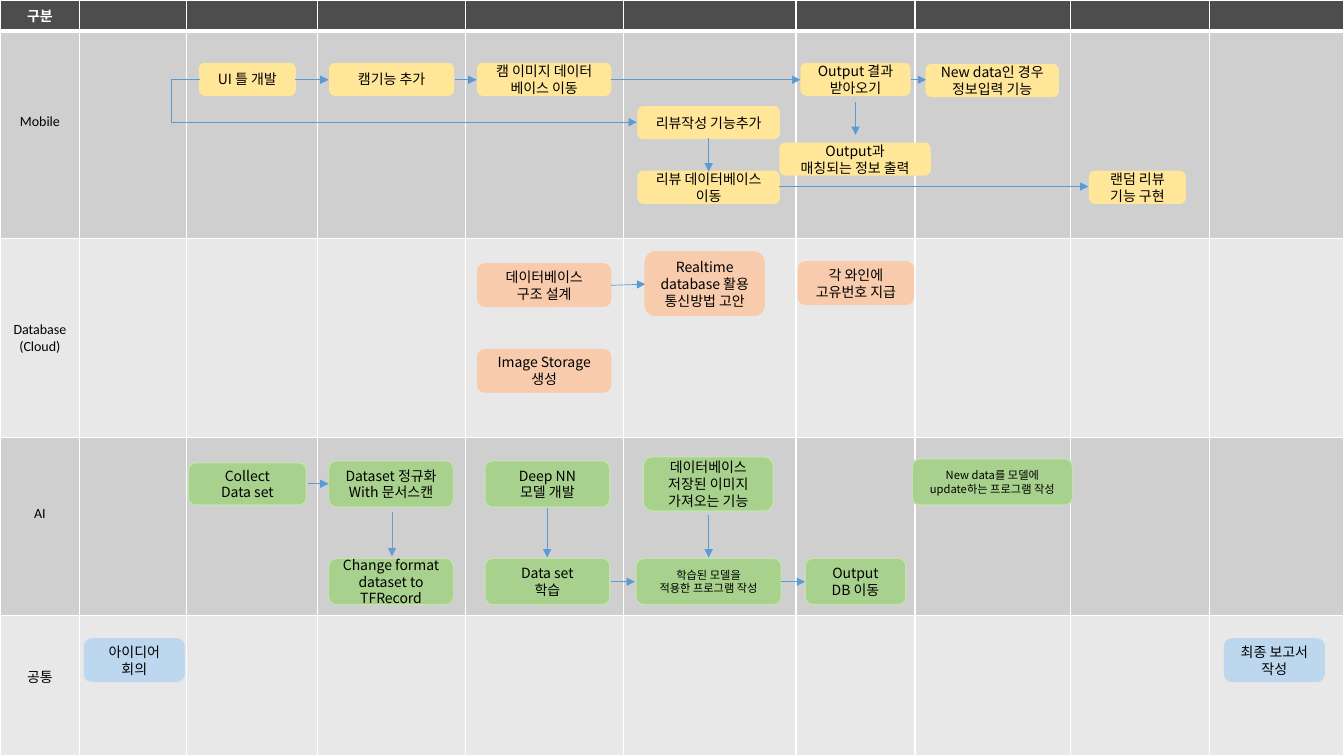
import dataclasses

import lxml.etree
import pptx
import pptx.dml.color
import pptx.enum.shapes
import pptx.enum.text
import pptx.oxml.ns
import pptx.shapes.base
import pptx.slide
import pptx.table
import pptx.text.text
import pptx.util

Cm = pptx.util.Cm
qn = pptx.oxml.ns.qn


@dataclasses.dataclass(frozen=True)
class Theme:
    header: str = "4D4D4D"
    dark_band: str = "CFCFCF"
    light_band: str = "E8E8E8"
    white: str = "FFFFFF"
    black: str = "000000"
    yellow: str = "FFE699"
    orange: str = "F8CBAD"
    green: str = "A9D18E"
    green_edge: str = "C5E0B4"
    blue: str = "BDD7EE"
    arrow: str = "5B9BD5"
    dull_arrow: str = "6A9ACF"
    table_font: str = "Calibri"
    box_font: str = "Noto Sans CJK KR"
    normal_size: int = 10
    small_size: int = 8
    arrow_width: float = 0.5
    border_width: float = 1
    header_border_width: float = 3


THEME = Theme()


@dataclasses.dataclass(frozen=True)
class Band:
    label: str
    height: float
    label_offset: float
    fill: str


@dataclasses.dataclass(frozen=True)
class Task:
    text: str
    left: float
    top: float
    width: float
    height: float
    fill: str
    edge: str
    size: int = THEME.normal_size


@dataclasses.dataclass(frozen=True)
class Arrow:
    points: tuple[tuple[float, float], ...]
    color: str = THEME.arrow


COLUMN_WIDTHS = (2.01, 2.69, 3.3, 3.73, 3.99, 4.34, 3.0, 3.91, 3.51, 3.39)
BANDS = (
    Band("구분", 0.79, 0.13, THEME.header),
    Band("Mobile", 5.21, 2.07, THEME.dark_band),
    Band("Database\n(Cloud)", 5.03, 2.1, THEME.light_band),
    Band("AI", 4.47, 1.69, THEME.dark_band),
    Band("공통", 3.55, 1.3, THEME.light_band),
)


def mobile(text: str, left: float, top: float, width: float) -> Task:
    return Task(text, left, top, width, 0.8, THEME.yellow, THEME.yellow)


def database(text: str, left: float, top: float, width: float, height: float = 1.07) -> Task:
    return Task(text, left, top, width, height, THEME.orange, THEME.orange)


def learning(text: str, left: float, top: float, width: float, height: float = 1.17,
             size: int = THEME.normal_size) -> Task:
    return Task(text, left, top, width, height, THEME.green, THEME.green_edge, size)


def common(text: str, left: float) -> Task:
    return Task(text, left, 16.1, 2.51, 1.07, THEME.blue, THEME.blue)


TASKS = (
    mobile("UI 틀 개발", 5.03, 1.6, 2.41),
    mobile("캠기능 추가", 8.31, 1.6, 3.12),
    mobile("캠 이미지 데이터\n베이스 이동", 12.04, 1.6, 3.35),
    mobile("리뷰작성 기능추가", 16.08, 2.69, 3.56),
    mobile("리뷰 데이터베이스\n이동", 16.08, 4.32, 3.56),
    mobile("Output 결과\n받아오기", 20.19, 1.6, 2.74),
    mobile("Output과\n매칭되는 정보 출력", 19.66, 3.61, 3.78),
    mobile("New data인 경우\n정보입력 기능", 23.34, 1.63, 3.33),
    mobile("랜덤 리뷰\n기능 구현", 27.46, 4.32, 2.41),
    database("데이터베이스\n구조 설계", 12.04, 6.65, 3.35),
    database("Image Storage\n생성", 12.04, 8.81, 3.35),
    database("Realtime database 활용\n통신방법 고안", 16.26, 6.35, 3.0, 1.6),
    database("각 와인에\n고유번호 지급", 20.12, 6.6, 2.9),
    learning("Collect\nData set", 4.75, 11.66, 2.97, 1.07),
    learning("Dataset 정규화\nWith 문서스캔", 8.28, 11.61, 3.15),
    learning("Change format\ndataset to TFRecord", 8.28, 14.07, 3.15),
    learning("Deep NN\n모델 개발", 12.22, 11.61, 3.15),
    learning("Data set\n학습", 12.22, 14.07, 3.15),
    learning("데이터베이스\n저장된 이미지\n가져오는 기능", 16.21, 11.51, 3.28, 1.37),
    learning("학습된 모델을\n적용한 프로그램 작성", 16.03, 14.07, 3.66, size=THEME.small_size),
    learning("Output\nDB 이동", 20.29, 14.07, 2.54),
    learning("New data를 모델에\nupdate하는 프로그램 작성", 22.99, 11.56, 4.04, size=THEME.small_size),
    common("아이디어\n회의", 2.13),
    common("최종 보고서 작성", 30.86),
)

ARROWS = (
    Arrow(((7.44, 2.01), (8.28, 2.01))),
    Arrow(((11.46, 2.01), (12.01, 2.01))),
    Arrow(((15.39, 2.01), (20.17, 2.01))),
    Arrow(((22.96, 2.01), (23.34, 2.01))),
    Arrow(((5.03, 1.99), (4.32, 1.99), (4.32, 3.08), (16.05, 3.08))),
    Arrow(((17.86, 3.48), (17.86, 4.32))),
    Arrow(((21.56, 2.57), (21.56, 3.4))),
    Arrow(((19.63, 4.7), (27.43, 4.7))),
    Arrow(((15.39, 7.19), (16.26, 7.16))),
    Arrow(((7.75, 12.19), (8.28, 12.19))),
    Arrow(((9.88, 12.9), (9.88, 14.02)), THEME.dull_arrow),
    Arrow(((13.79, 12.8), (13.79, 14.05))),
    Arrow(((17.86, 12.98), (17.86, 14.05))),
    Arrow(((15.39, 14.66), (16.0, 14.66))),
    Arrow(((19.69, 14.66), (20.29, 14.66))),
)


def rgb(color: str) -> pptx.dml.color.RGBColor:
    return pptx.dml.color.RGBColor.from_string(color)


def write_text(frame: pptx.text.text.TextFrame, text: str, font_name: str,
               size: int, color: str, bold: bool = False) -> None:
    frame.word_wrap = True
    for index, line in enumerate(text.split("\n")):
        paragraph = frame.add_paragraph() if index else frame.paragraphs[0]
        paragraph.alignment = pptx.enum.text.PP_ALIGN.CENTER
        run = paragraph.add_run()
        run.text = line
        run.font.name = font_name
        run.font.size = pptx.util.Pt(size)
        run.font.bold = bold
        run.font.color.rgb = rgb(color)
        east_asian = lxml.etree.SubElement(run.font._element, qn("a:ea"))
        east_asian.set("typeface", THEME.box_font)


def draw_borders(cell: pptx.table._Cell, top: float, bottom: float) -> None:
    properties = cell._tc.get_or_add_tcPr()
    sides = {"lnL": THEME.border_width, "lnR": THEME.border_width, "lnT": top, "lnB": bottom}
    for position, (side, width) in enumerate(sides.items()):
        border = lxml.etree.Element(qn(f"a:{side}"), w=str(pptx.util.Pt(width)))
        fill = lxml.etree.SubElement(border, qn("a:solidFill"))
        lxml.etree.SubElement(fill, qn("a:srgbClr"), val=THEME.white)
        properties.insert(position, border)


def draw_schedule(slide: pptx.slide.Slide) -> None:
    width, height = sum(COLUMN_WIDTHS), sum(band.height for band in BANDS)
    table = slide.shapes.add_table(len(BANDS), len(COLUMN_WIDTHS), 0, 0, Cm(width), Cm(height)).table
    table.first_row = False
    table.horz_banding = False
    for column, column_width in zip(table.columns, COLUMN_WIDTHS):
        column.width = Cm(column_width)
    for row_index, (row, band) in enumerate(zip(table.rows, BANDS)):
        row.height = Cm(band.height)
        is_header = row_index == 0
        top = THEME.header_border_width if row_index == 1 else THEME.border_width
        bottom = THEME.header_border_width if is_header else THEME.border_width
        for column_index, cell in enumerate(row.cells):
            cell.fill.solid()
            cell.fill.fore_color.rgb = rgb(band.fill)
            cell.margin_left = cell.margin_right = cell.margin_top = cell.margin_bottom = Cm(0.13)
            draw_borders(cell, top, bottom)
            if column_index == 0:
                cell.margin_top = Cm(band.label_offset)
                write_text(cell.text_frame, band.label, THEME.table_font, THEME.normal_size,
                           THEME.white if is_header else THEME.black, is_header)
            else:
                ending = lxml.etree.SubElement(cell.text_frame.paragraphs[0]._p, qn("a:endParaRPr"))
                ending.set("sz", str(THEME.normal_size * 100))


def draw_task(slide: pptx.slide.Slide, task: Task) -> None:
    shape = slide.shapes.add_shape(pptx.enum.shapes.MSO_SHAPE.ROUNDED_RECTANGLE, Cm(task.left),
                                   Cm(task.top), Cm(task.width), Cm(task.height))
    shape.shadow.inherit = False
    shape.fill.solid()
    shape.fill.fore_color.rgb = rgb(task.fill)
    shape.line.color.rgb = rgb(task.edge)
    shape.line.width = pptx.util.Pt(THEME.border_width)
    frame = shape.text_frame
    frame.vertical_anchor = pptx.enum.text.MSO_ANCHOR.MIDDLE
    frame.margin_left = frame.margin_right = Cm(0.1)
    frame.margin_top = frame.margin_bottom = 0
    write_text(frame, task.text, THEME.box_font, task.size, THEME.black)


def draw_arrow(slide: pptx.slide.Slide, arrow: Arrow) -> None:
    points = [(Cm(x), Cm(y)) for x, y in arrow.points]
    if len(points) == 2:
        shape = slide.shapes.add_connector(pptx.enum.shapes.MSO_CONNECTOR.STRAIGHT, *points[0], *points[1])
    else:
        builder = slide.shapes.build_freeform(*points[0])
        builder.add_line_segments(points[1:], close=False)
        shape = builder.convert_to_shape()
        shape.fill.background()
    shape.line.color.rgb = rgb(arrow.color)
    shape.line.width = pptx.util.Pt(THEME.arrow_width)
    properties = shape._element.spPr
    lxml.etree.SubElement(properties.find(qn("a:ln")), qn("a:tailEnd"), type="triangle")
    lxml.etree.SubElement(properties, qn("a:effectLst"))


def main() -> None:
    presentation = pptx.Presentation()
    presentation.slide_width = Cm(33.87)
    presentation.slide_height = Cm(19.05)
    slide = presentation.slides.add_slide(presentation.slide_layouts[6])
    draw_schedule(slide)
    for task in TASKS:
        draw_task(slide, task)
    for arrow in ARROWS:
        draw_arrow(slide, arrow)
    presentation.save("out.pptx")


if __name__ == "__main__":
    main()
